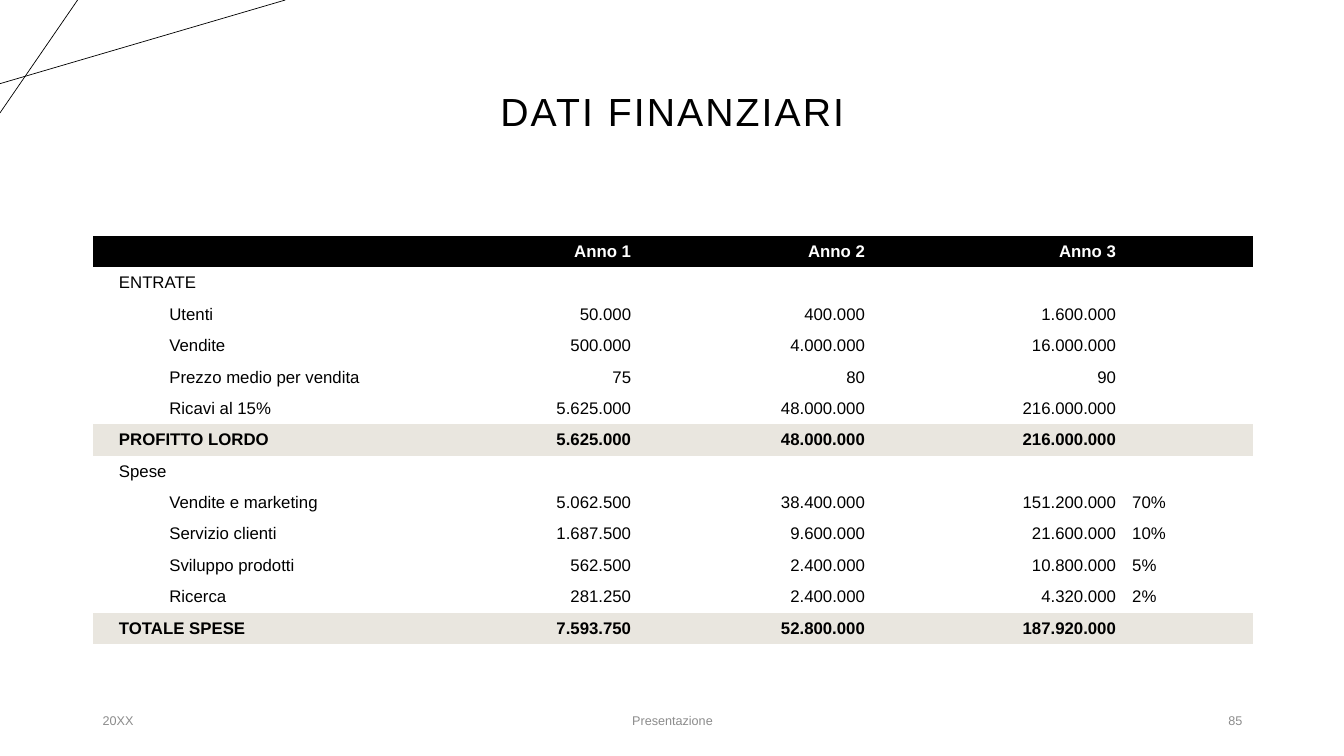
"""Build the financial data slide with its yearly revenue and expense table."""
from dataclasses import dataclass

from lxml import etree
from pptx import Presentation
from pptx import util as u
from pptx.dml.color import RGBColor
from pptx.enum import shapes, text
from pptx.oxml import ns

BLACK = RGBColor(0x00, 0x00, 0x00)
WHITE = RGBColor(0xFF, 0xFF, 0xFF)
SAND = RGBColor(0xE9, 0xE6, 0xDF)
GRAY = RGBColor(0x8C, 0x8C, 0x8C)
FONT = "Arial"
PLAIN_TABLE_STYLE = "{2D5ABB26-0587-4C30-8999-92F81FD0307C}"
LEFT, CENTER, RIGHT = text.PP_ALIGN.LEFT, text.PP_ALIGN.CENTER, text.PP_ALIGN.RIGHT
COLUMN_WIDTHS = (3.54, 1.88, 2.32, 2.49, 1.28)
COLUMN_ALIGNS = (LEFT, RIGHT, RIGHT, RIGHT, LEFT)


@dataclass(frozen=True)
class RowStyle:
    """Look shared by all cells of a table row."""
    fill: RGBColor | None = None
    color: RGBColor = BLACK
    bold: bool = False
    indent: float = 0


@dataclass(frozen=True)
class Row:
    """One table row: label, three years and a share."""
    style: RowStyle
    values: tuple[str, ...]


@dataclass(frozen=True)
class Label:
    """A text box with one line of text."""
    words: str
    left: float
    top: float
    width: float
    height: float
    size: float
    color: RGBColor
    align: text.PP_ALIGN
    line_spacing: float = 1
    tracking: float = 0


@dataclass(frozen=True)
class Stroke:
    """A thin straight line in the page corner."""
    x1: float
    y1: float
    x2: float
    y2: float


HEADER = RowStyle(fill=BLACK, color=WHITE, bold=True)
SECTION = RowStyle()
DETAIL = RowStyle(indent=0.5)
TOTAL = RowStyle(fill=SAND, bold=True)

ROWS = (
    Row(HEADER, ("", "Anno 1", "Anno 2", "Anno 3", "")),
    Row(SECTION, ("ENTRATE", "", "", "", "")),
    Row(DETAIL, ("Utenti", "50.000", "400.000", "1.600.000", "")),
    Row(DETAIL, ("Vendite", "500.000", "4.000.000", "16.000.000", "")),
    Row(DETAIL, ("Prezzo medio per vendita", "75", "80", "90", "")),
    Row(DETAIL, ("Ricavi al 15%", "5.625.000", "48.000.000", "216.000.000", "")),
    Row(TOTAL, ("PROFITTO LORDO", "5.625.000", "48.000.000", "216.000.000", "")),
    Row(SECTION, ("Spese", "", "", "", "")),
    Row(DETAIL, ("Vendite e marketing", "5.062.500", "38.400.000", "151.200.000", "70%")),
    Row(DETAIL, ("Servizio clienti", "1.687.500", "9.600.000", "21.600.000", "10%")),
    Row(DETAIL, ("Sviluppo prodotti", "562.500", "2.400.000", "10.800.000", "5%")),
    Row(DETAIL, ("Ricerca", "281.250", "2.400.000", "4.320.000", "2%")),
    Row(TOTAL, ("TOTALE SPESE", "7.593.750", "52.800.000", "187.920.000", "")),
)
STROKES = (Stroke(0, 0.83, 2.83, 0), Stroke(0.77, 0, 0, 1.12))
LABELS = (
    Label("DATI FINANZIARI", 0.92, 0.4, 11.5, 1.45, 28, BLACK, CENTER, 0.9, 1.5),
    Label("20XX", 0.92, 6.95, 3, 0.4, 9, GRAY, LEFT),
    Label("Presentazione", 4.42, 6.95, 4.5, 0.4, 9, GRAY, CENTER),
    Label("85", 9.42, 6.95, 3, 0.4, 9, GRAY, RIGHT),
)


def set_font(para, size: float, color: RGBColor, bold: bool = False) -> None:
    """Set the font of a whole paragraph."""
    para.font.name = FONT
    para.font.size = u.Pt(size)
    para.font.color.rgb = color
    para.font.bold = bold


def draw_stroke(page, stroke: Stroke) -> None:
    """Draw a thin black line without shadow."""
    ends = (u.Inches(v) for v in (stroke.x1, stroke.y1, stroke.x2, stroke.y2))
    line = page.shapes.add_connector(shapes.MSO_CONNECTOR.STRAIGHT, *ends)
    line.line.color.rgb = BLACK
    line.line.width = u.Pt(0.5)
    etree.SubElement(line._element.spPr, ns.qn("a:effectLst"))


def draw_label(page, label: Label) -> None:
    """Draw a vertically centred text box."""
    place = (u.Inches(v) for v in (label.left, label.top, label.width, label.height))
    frame = page.shapes.add_textbox(*place).text_frame
    frame.word_wrap = True
    frame.vertical_anchor = text.MSO_ANCHOR.MIDDLE
    para = frame.paragraphs[0]
    para.text = label.words
    para.alignment = label.align
    para.line_spacing = label.line_spacing
    set_font(para, label.size, label.color)
    if label.tracking:
        for span in para.runs:
            span._r.get_or_add_rPr().set("spc", str(round(label.tracking * 100)))


def fill_cell(cell, words: str, column: int, style: RowStyle) -> None:
    """Write one table cell in the style of its row."""
    if style.fill is None:
        cell.fill.background()
    else:
        cell.fill.solid()
        cell.fill.fore_color.rgb = style.fill
    cell.vertical_anchor = text.MSO_ANCHOR.MIDDLE
    cell.margin_left = u.Inches(0.26 if column == 0 else 0.08)
    cell.margin_right = u.Inches(0.08)
    cell.margin_top = cell.margin_bottom = u.Inches(0.04)
    para = cell.text_frame.paragraphs[0]
    para.text = words
    para.alignment = COLUMN_ALIGNS[column]
    set_font(para, 12, style.color, style.bold)
    if column == 0 and style.indent:
        para.level = 1
        para._p.get_or_add_pPr().set("marL", str(u.Inches(style.indent)))


def draw_table(page) -> None:
    """Draw the financial table."""
    place = (u.Inches(v) for v in (0.92, 2.34, sum(COLUMN_WIDTHS), 4.05))
    table = page.shapes.add_table(len(ROWS), len(COLUMN_WIDTHS), *place).table
    table.horz_banding = False
    table._tbl.tblPr.find(ns.qn("a:tableStyleId")).text = PLAIN_TABLE_STYLE
    for column, width in zip(table.columns, COLUMN_WIDTHS):
        column.width = u.Inches(width)
    for r, row in enumerate(ROWS):
        for c, words in enumerate(row.values):
            fill_cell(table.cell(r, c), words, c, row.style)


def main() -> None:
    """Build and save the deck."""
    deck = Presentation()
    deck.slide_width, deck.slide_height = u.Inches(13.33), u.Inches(7.5)
    page = deck.slides.add_slide(deck.slide_layouts[6])
    for stroke in STROKES:
        draw_stroke(page, stroke)
    title, *footers = LABELS
    draw_label(page, title)
    draw_table(page)
    for footer in footers:
        draw_label(page, footer)
    deck.save("out.pptx")


if __name__ == "__main__":
    main()
